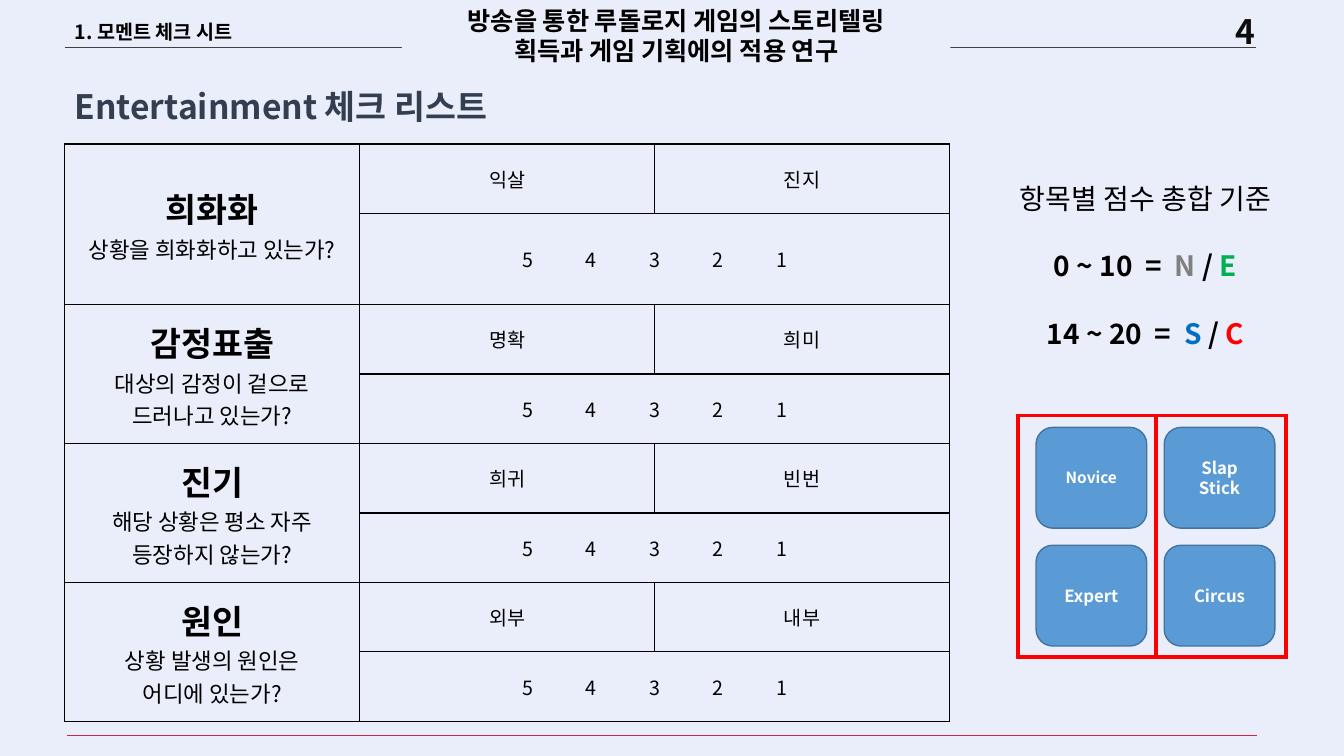
from lxml.etree import SubElement
from pptx import Presentation
from pptx.dml.color import RGBColor
from pptx.enum.shapes import MSO_CONNECTOR, MSO_SHAPE
from pptx.enum.text import MSO_ANCHOR, MSO_AUTO_SIZE, PP_ALIGN
from pptx.oxml.ns import qn
from pptx.util import Cm, Pt

FONT = "Noto Sans CJK KR"
COLORS = {
    "background": "EAEEFA", "ink": "000000", "number": "0D0D0D", "heading": "333F50",
    "rule": "404040", "footer": "D02646", "tile": "5B9BD5", "tile_line": "43739E",
    "white": "FFFFFF", "novice": "808080", "expert": "00B050", "slapstick": "0070C0",
    "circus": "FF0000",
}
CHECKS = [
    (["희화화", "상황을 희화화하고 있는가?"], "익살", "진지"),
    (["감정표출", "대상의 감정이 겉으로", "드러나고 있는가?"], "명확", "희미"),
    (["진기", "해당 상황은 평소 자주", "등장하지 않는가?"], "희귀", "빈번"),
    (["원인", "상황 발생의 원인은", "어디에 있는가?"], "외부", "내부"),
]
CRITERIA = [
    [("항목별 점수 총합 기준", "ink", False)],
    [("0 ~ 10  =  ", "ink", True), ("N ", "novice", True), ("/ ", "ink", True),
     ("E", "expert", True)],
    [("14 ~ 20  =  ", "ink", True), ("S ", "slapstick", True), ("/ ", "ink", True),
     ("C", "circus", True)],
]
TILES = [[(["Novice"], 11), (["Slap", "Stick"], 12)], [(["Expert"], 12), (["Circus"], 12)]]


def rgb(name):
    """Look up a named colour."""
    return RGBColor.from_string(COLORS[name])


def apply_format(target, values):
    """Set each attribute in a dict of format values."""
    for name, value in values.items():
        setattr(target, name, value)


def place(shape, box):
    """Move a shape to a box given in centimetres."""
    apply_format(shape, dict(zip(("left", "top", "width", "height"), map(Cm, box))))


def add_run(paragraph, text, size, color="ink", bold=True):
    """Add a formatted run, with the font set for Latin and Korean."""
    run = paragraph.add_run()
    run.text = text
    apply_format(run.font, {"size": Pt(size), "bold": bold, "name": FONT})
    run.font.color.rgb = rgb(color)
    SubElement(run.font._element, qn("a:ea"), typeface=FONT)


def write_lines(frame, lines, size, color="ink", align=PP_ALIGN.CENTER,
                anchor=MSO_ANCHOR.MIDDLE):
    """Write bold lines as tightly spaced paragraphs."""
    apply_format(frame, {"word_wrap": True, "auto_size": MSO_AUTO_SIZE.NONE,
                         "vertical_anchor": anchor})
    for index, line in enumerate(lines):
        paragraph = frame.add_paragraph() if index else frame.paragraphs[0]
        apply_format(paragraph, {"alignment": align, "line_spacing": Pt(round(size * 1.2, 1))})
        add_run(paragraph, line, size, color)


def add_block(slide, kind, box, fill, line=None):
    """Add a flat preset shape."""
    shape = slide.shapes.add_shape(kind, *map(Cm, box))
    shape.shadow.inherit = False
    shape.fill.solid()
    shape.fill.fore_color.rgb = rgb(fill)
    if line:
        shape.line.color.rgb = rgb(line)
        shape.line.width = Pt(1)
    else:
        shape.line.fill.background()
    return shape


def add_rule(slide, left, top, width, color):
    """Add a thin horizontal line."""
    rule = slide.shapes.add_connector(
        MSO_CONNECTOR.STRAIGHT, Cm(left), Cm(top), Cm(left + width), Cm(top))
    rule.line.color.rgb = rgb(color)
    rule.line.width = Pt(0.5)
    SubElement(rule._element.spPr, qn("a:effectLst"))


def add_header(slide, box):
    """Place the rule, section label, study title and page number."""
    left, top, width, height = box
    add_rule(slide, left, top + 1.2, width, "rule")
    banner = add_block(slide, MSO_SHAPE.RECTANGLE, (left + 8.5, top, 13.82, height), "background")
    write_lines(banner.text_frame, ["방송을 통한 루돌로지 게임의 스토리텔링", "획득과 게임 기획에의 적용 연구"],
                18, anchor=MSO_ANCHOR.TOP)
    labels = [("1. 모멘트 체크 시트", (left, top + 0.28, 8.03, 1.04), 14, "ink", PP_ALIGN.LEFT),
              ("4", (left + width - 2.31, top + 0.28, 4.09, 1.02), 24, "number", PP_ALIGN.CENTER)]
    for text, label_box, size, color, align in labels:
        label = slide.shapes.add_textbox(*map(Cm, label_box))
        write_lines(label.text_frame, [text], size, color, align)


def add_heading(slide, box):
    """Fill the title placeholder."""
    title = slide.shapes.title
    place(title, box)
    write_lines(title.text_frame, ["Entertainment 체크 리스트"], 24, "heading", PP_ALIGN.LEFT)


def add_borders(cell):
    """Draw thin black borders around a cell and clear its fill."""
    properties = cell._tc.get_or_add_tcPr()
    for side in ("lnL", "lnR", "lnT", "lnB"):
        border = SubElement(properties, qn(f"a:{side}"), w="12700")
        SubElement(SubElement(border, qn("a:solidFill")), qn("a:srgbClr"), val=COLORS["ink"])
    cell.fill.background()


def write_cell(cell, lines, size, heading_size=None):
    """Write centred cell text, with an optional larger bold first line."""
    cell.vertical_anchor = MSO_ANCHOR.MIDDLE
    for index, line in enumerate(lines):
        paragraph = cell.text_frame.paragraphs[0] if index == 0 else cell.text_frame.add_paragraph()
        paragraph.alignment = PP_ALIGN.CENTER
        is_heading = bool(heading_size) and index == 0
        add_run(paragraph, line, heading_size if is_heading else size, bold=is_heading)


def write_scale(cell, pitch=1.6):
    """Write the scores 5 to 1 at even tab stops."""
    write_cell(cell, ["\t".join("54321")], 14)
    cell.margin_left = Cm(4.1)
    paragraph = cell.text_frame.paragraphs[0]
    paragraph.alignment = PP_ALIGN.LEFT
    stops = SubElement(paragraph._p.get_or_add_pPr(), qn("a:tabLst"))
    for step in range(1, 5):
        SubElement(stops, qn("a:tab"), pos=str(Cm(step * pitch)), algn="l")


def add_checklist(slide, box):
    """Build the table, two rows for each check."""
    table = slide.shapes.add_table(2 * len(CHECKS), 3, *map(Cm, box)).table
    apply_format(table, {"first_row": False, "horz_banding": False})
    for column in table.columns:
        column.width = Cm(box[2] / 3)
    for index, row in enumerate(table.rows):
        row.height = Cm(1.95 if index == 1 else 1.75)
    for cell in table.iter_cells():
        add_borders(cell)
    for index, (question, high, low) in enumerate(CHECKS):
        top = 2 * index
        table.cell(top, 0).merge(table.cell(top + 1, 0))
        table.cell(top + 1, 1).merge(table.cell(top + 1, 2))
        write_cell(table.cell(top, 0), question, 16, heading_size=24)
        write_cell(table.cell(top, 1), [high], 14)
        write_cell(table.cell(top, 2), [low], 14)
        write_scale(table.cell(top + 1, 1))


def add_criteria(slide, box):
    """Fill the body placeholder with the scoring criteria."""
    body = slide.placeholders[1]
    place(body, box)
    frame = body.text_frame
    apply_format(frame, {"word_wrap": True, "auto_size": MSO_AUTO_SIZE.NONE,
                         "vertical_anchor": MSO_ANCHOR.TOP})
    for index, parts in enumerate(CRITERIA):
        paragraph = frame.add_paragraph() if index else frame.paragraphs[0]
        apply_format(paragraph, {"alignment": PP_ALIGN.CENTER, "line_spacing": Pt(24),
                                 "space_before": Pt(24 if index else 0)})
        properties = paragraph._p.get_or_add_pPr()
        properties.set("marL", "0")
        properties.set("indent", "0")
        SubElement(properties, qn("a:buNone"))
        for text, color, bold in parts:
            add_run(paragraph, text, 20, color, bold)


def add_types(slide, box):
    """Place the four type tiles and the two red frames."""
    left, top, width, height = box
    for row, tiles in enumerate(TILES):
        for column, (lines, size) in enumerate(tiles):
            tile_box = (left + 0.48 + column * 3.23, top + 0.33 + row * 2.97, 2.79, 2.54)
            tile = add_block(slide, MSO_SHAPE.ROUNDED_RECTANGLE, tile_box, "tile", "tile_line")
            write_lines(tile.text_frame, lines, size, "white")
    for offset, frame_width in ((0, 3.53), (3.48, width - 3.48)):
        frame = add_block(slide, MSO_SHAPE.FRAME, (left + offset, top, frame_width, height),
                          "circus", "circus")
        frame.adjustments[0] = 0.016


def build_slide(presentation):
    """Assemble the checklist slide."""
    slide = presentation.slides.add_slide(presentation.slide_layouts[1])
    slide.background.fill.solid()
    slide.background.fill.fore_color.rgb = rgb("background")
    add_header(slide, (1.63, 0, 30.02, 1.8))
    add_heading(slide, (1.63, 1.77, 11.38, 1.8))
    add_checklist(slide, (1.63, 3.63, 22.3, 14.2))
    add_criteria(slide, (25.04, 4.45, 7.65, 4.52))
    add_types(slide, (25.63, 10.44, 6.81, 6.15))
    add_rule(slide, 1.68, 18.54, 30, "footer")


presentation = Presentation()
apply_format(presentation, {"slide_width": Cm(33.87), "slide_height": Cm(19.05)})
build_slide(presentation)
presentation.save("out.pptx")
